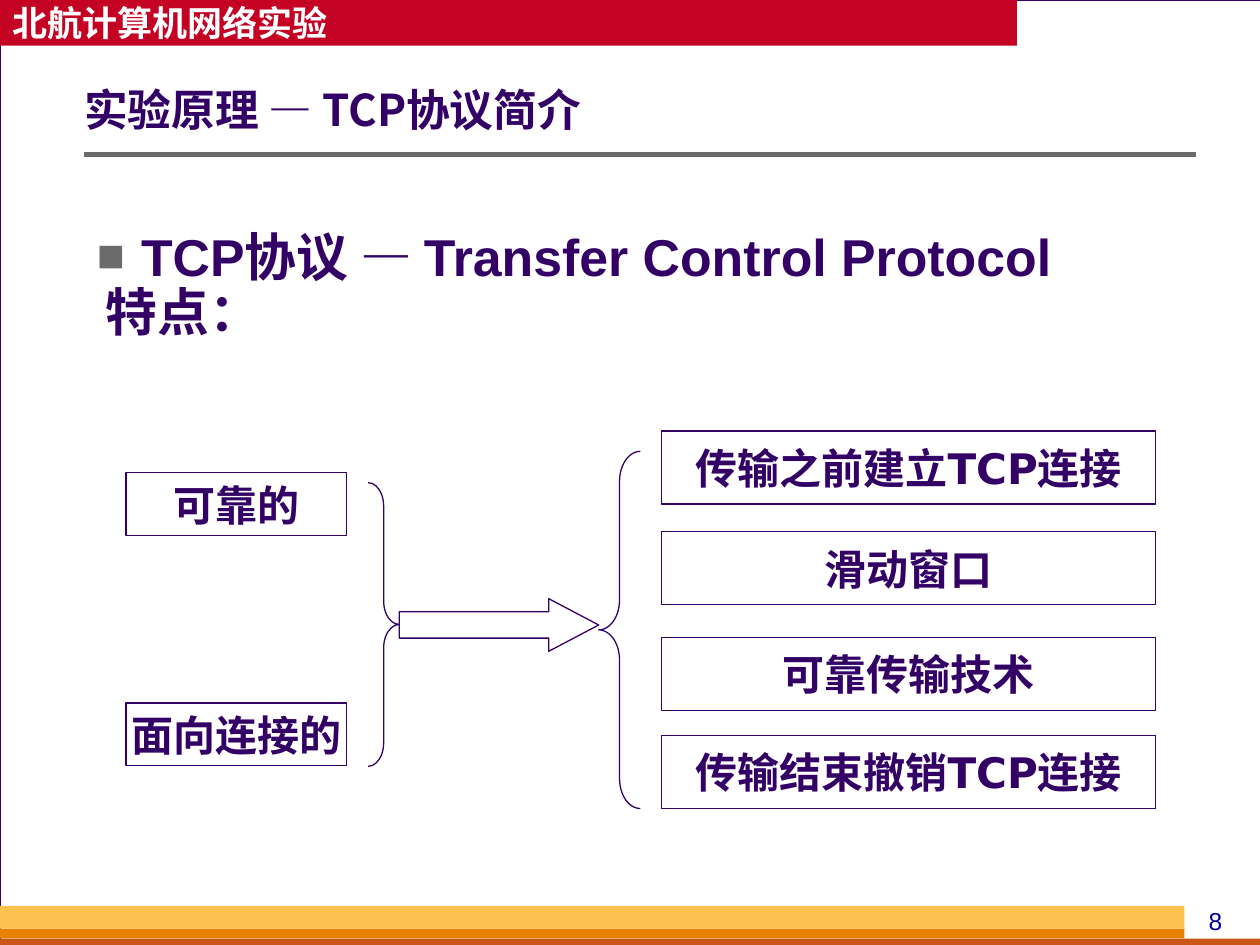
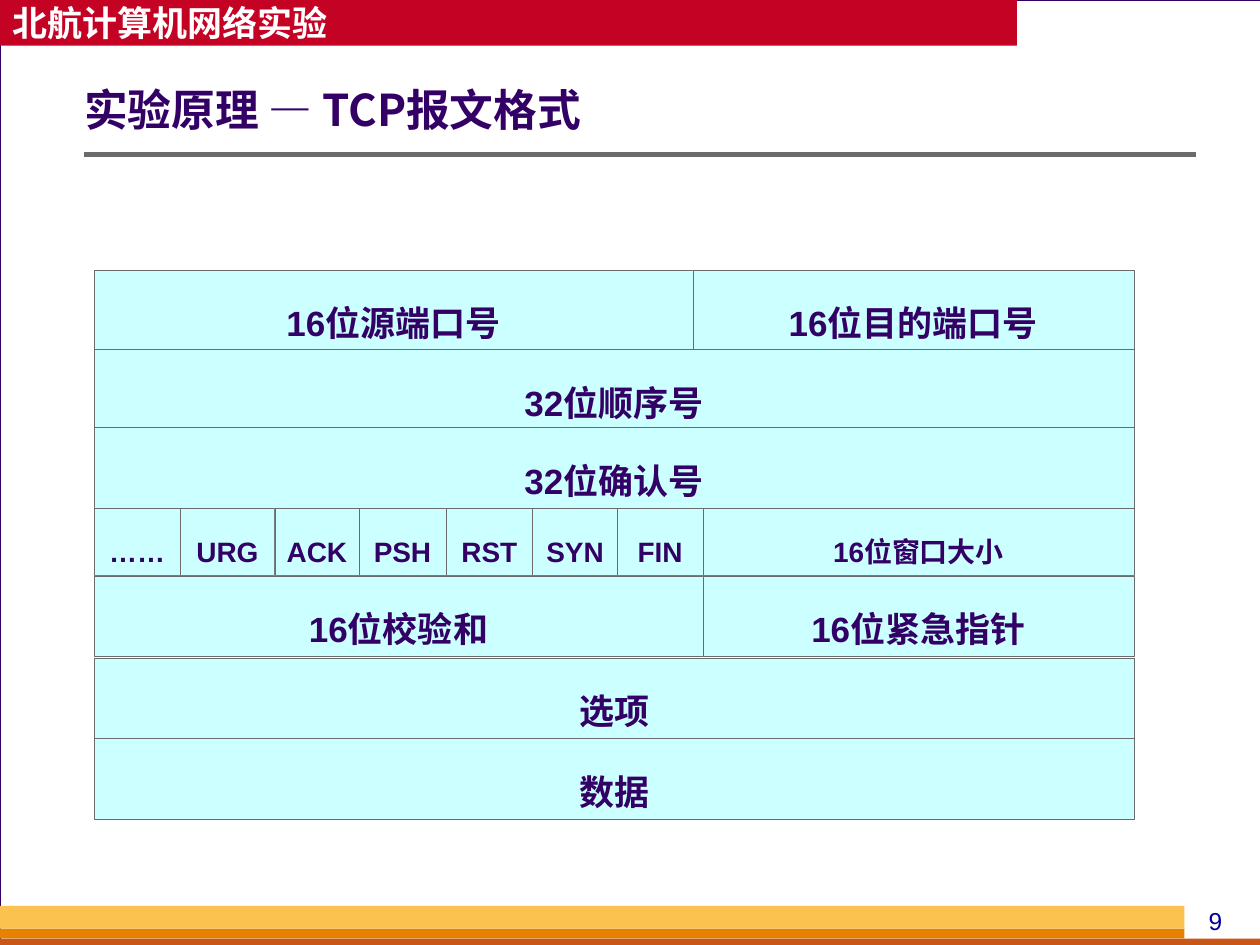
from lxml import etree
from pptx import Presentation
from pptx.dml.color import RGBColor
from pptx.enum import shapes, text
from pptx.oxml import ns
from pptx.util import Cm, Pt

PURPLE, GRAY, WHITE = "330066", "6B6B6B", "FFFFFF"
ARIAL, NOTO, DEJAVU = "Arial", "Noto Sans CJK SC", "DejaVu Sans"
CENTER, LEFT = text.PP_ALIGN.CENTER, text.PP_ALIGN.LEFT
MIDDLE, TOP = text.MSO_ANCHOR.MIDDLE, text.MSO_ANCHOR.TOP
KIND = shapes.MSO_SHAPE

COURSE = "北航计算机网络实验"
BANDS = [
    ((0, 18.72, 23.88, 0.2), "E88000"),
    ((0, 18.92, 25.4, 0.2), "C95616"),
    ((0, 18.26, 23.88, 0.46), "FCC24F"),
]
TITLE_PREFIX = [("实验原理 ", NOTO), ("— ", ARIAL)]
FIRST_NUMBER = 8

INTRO_TITLE = "TCP协议简介"
INTRO = [("TCP协议 ", ARIAL), ("— ", NOTO), ("Transfer Control Protocol", ARIAL)]
INTRO_END = [("特点：", NOTO)]
FEATURES = [("可靠的", 9.53), ("面向连接的", 14.17)]
MECHANISMS = [
    ("传输之前建立TCP连接", 8.69),
    ("滑动窗口", 10.72),
    ("可靠传输技术", 12.85),
    ("传输结束撤销TCP连接", 14.83),
]
SYMBOLS = [
    (KIND.RIGHT_ARROW, (8.05, 12.07, 4.02, 1.06), (0.5, 0.95)),
    (KIND.RIGHT_BRACE, (7.42, 9.73, 0.63, 5.72), (0.75, 0.5)),
    (KIND.LEFT_BRACE, (12.07, 9.1, 0.84, 7.2), (0.72, 0.5)),
]

FORMAT_TITLE = "TCP报文格式"
FIELDS_LEFT, FIELDS_RIGHT = 1.9, 22.86
HEADER_ROWS = [
    (5.44, [("16位源端口号", 13.97), ("16位目的端口号", FIELDS_RIGHT)]),
    (7.04, [("32位顺序号", FIELDS_RIGHT)]),
    (8.61, [("32位确认号", FIELDS_RIGHT)]),
    (10.24, [("……", 3.63), ("URG", 5.54), ("ACK", 7.24), ("PSH", 8.99),
             ("RST", 10.74), ("SYN", 12.45), ("FIN", 14.17),
             ("16位窗口大小", FIELDS_RIGHT)]),
    (11.61, [("16位校验和", 14.17), ("16位紧急指针", FIELDS_RIGHT)]),
    (13.26, [("选项", FIELDS_RIGHT)]),
    (14.88, [("数据", FIELDS_RIGHT)]),
]


def color(value):
    return RGBColor.from_string(value)


def place(shape, area):
    shape.left, shape.top, shape.width, shape.height = map(Cm, area)


def write(para, spans, size, ink=PURPLE, bold=True, align=LEFT, spacing=None):
    para.alignment = align
    if spacing:
        para.line_spacing = spacing
    for words, face in spans:
        span = para.add_run()
        span.text = words
        font = span.font
        font.name, font.size, font.bold = face, Pt(size), bold
        font.color.rgb = color(ink)
        east = etree.SubElement(span._r.get_or_add_rPr(), ns.qn("a:ea"))
        east.set("typeface", NOTO)


def add_box(parent, area, fill=None, line=None, width=0.75, kind=KIND.RECTANGLE):
    box = parent.add_shape(kind, *map(Cm, area))
    box.shadow.inherit = False
    if fill:
        box.fill.solid()
        box.fill.fore_color.rgb = color(fill)
    else:
        box.fill.background()
    if line:
        box.line.color.rgb = color(line)
        box.line.width = Pt(width)
    else:
        box.line.fill.background()
    return box


def furnish_master(deck, page):
    items = [add_box(page.shapes, (0, 0, 25.43, 19.05), WHITE, PURPLE)]
    banner = add_box(page.shapes, (0, 0, 20.5, 0.92), "C30224")
    banner.text_frame.word_wrap = True
    write(banner.text_frame.paragraphs[0], [(COURSE, NOTO)], 20, WHITE)
    items.append(banner)
    items += [add_box(page.shapes, area, fill) for area, fill in BANDS]
    rule = page.shapes.add_connector(
        shapes.MSO_CONNECTOR.STRAIGHT, Cm(1.7), Cm(3.12), Cm(24.1), Cm(3.12))
    rule.line.color.rgb = color(GRAY)
    rule.line.width = Pt(3)
    etree.SubElement(rule._element.spPr, ns.qn("a:effectLst"))
    items.append(rule)
    for item in items:
        deck.slide_master.shapes.element.append(item.element)


def start_page(page, number, topic):
    title = page.shapes.title
    place(title, (1.7, 1.17, 22.4, 2.18))
    frame = title.text_frame
    frame.margin_left = 0
    frame.vertical_anchor = MIDDLE
    frame.auto_size = text.MSO_AUTO_SIZE.NONE
    write(frame.paragraphs[0], TITLE_PREFIX + [(topic, NOTO)], 25, spacing=0.9)
    box = page.shapes.add_textbox(Cm(23.7), Cm(18.14), Cm(1.6), Cm(0.86))
    box.text_frame.word_wrap = True
    write(box.text_frame.paragraphs[0], [(str(number), ARIAL)], 14, "000099", False, CENTER)


def set_bullet(para, mark, margin, indent):
    props = para._p.get_or_add_pPr()
    props.set("marL", str(Cm(margin)))
    props.set("indent", str(Cm(indent)))
    if not mark:
        etree.SubElement(props, ns.qn("a:buNone"))
        return
    tint = etree.SubElement(props, ns.qn("a:buClr"))
    etree.SubElement(tint, ns.qn("a:srgbClr")).set("val", GRAY)
    etree.SubElement(props, ns.qn("a:buSzPct")).set("val", "90000")
    etree.SubElement(props, ns.qn("a:buFont")).set("typeface", ARIAL)
    etree.SubElement(props, ns.qn("a:buChar")).set("char", mark)


def fill_intro(page):
    body = page.placeholders[1]
    place(body, (1.42, 4.52, 23.19, 9.58))
    frame = body.text_frame
    frame.margin_top = 0
    frame.vertical_anchor = TOP
    frame.auto_size = text.MSO_AUTO_SIZE.NONE
    first, second = frame.paragraphs[0], frame.add_paragraph()
    set_bullet(first, "■", 1.17, -0.89)
    set_bullet(second, None, 0.46, 0)
    for para in (first, second):
        para.space_before = Pt(0)
    write(first, INTRO, 29.6)
    write(second, INTRO_END, 29.6, spacing=0.9)

    for column, left, width, height in ((FEATURES, 2.54, 4.45, 1.27),
                                        (MECHANISMS, 13.34, 9.96, 1.47)):
        for label, top in column:
            box = add_box(page.shapes, (left, top, width, height), line=PURPLE)
            box.text_frame.word_wrap = False
            write(box.text_frame.paragraphs[0], [(label, DEJAVU)], 24, align=CENTER)
    for kind, area, settings in SYMBOLS:
        symbol = add_box(page.shapes, area, line=PURPLE, kind=kind)
        for index, value in enumerate(settings):
            symbol.adjustments[index] = value


def fill_format(page):
    header = page.shapes.add_group_shape()
    for top, fields in HEADER_ROWS:
        height, size = (1.35, 16) if len(fields) > 2 else (1.63, 20)
        left = FIELDS_LEFT
        for label, right in fields:
            box = add_box(header.shapes, (left, top, right - left, height), "CCFFFF", GRAY, 0.25)
            frame = box.text_frame
            frame.word_wrap = True
            frame.auto_size = text.MSO_AUTO_SIZE.SHAPE_TO_FIT_TEXT
            if size == 16:
                frame.margin_left = frame.margin_right = Cm(0.1)
            write(frame.paragraphs[0], [(label, ARIAL)], size, align=CENTER, spacing=1.6)
            left = right


def main():
    deck = Presentation()
    deck.slide_width, deck.slide_height = Cm(25.4), Cm(19.05)
    background = deck.slide_master.background.fill
    background.solid()
    background.fore_color.rgb = color("D8DADA")
    contents = [(1, INTRO_TITLE, fill_intro), (5, FORMAT_TITLE, fill_format)]
    for number, (layout, topic, fill) in enumerate(contents, FIRST_NUMBER):
        page = deck.slides.add_slide(deck.slide_layouts[layout])
        if number == FIRST_NUMBER:
            furnish_master(deck, page)
        start_page(page, number, topic)
        fill(page)
    deck.save("out.pptx")


if __name__ == "__main__":
    main()
